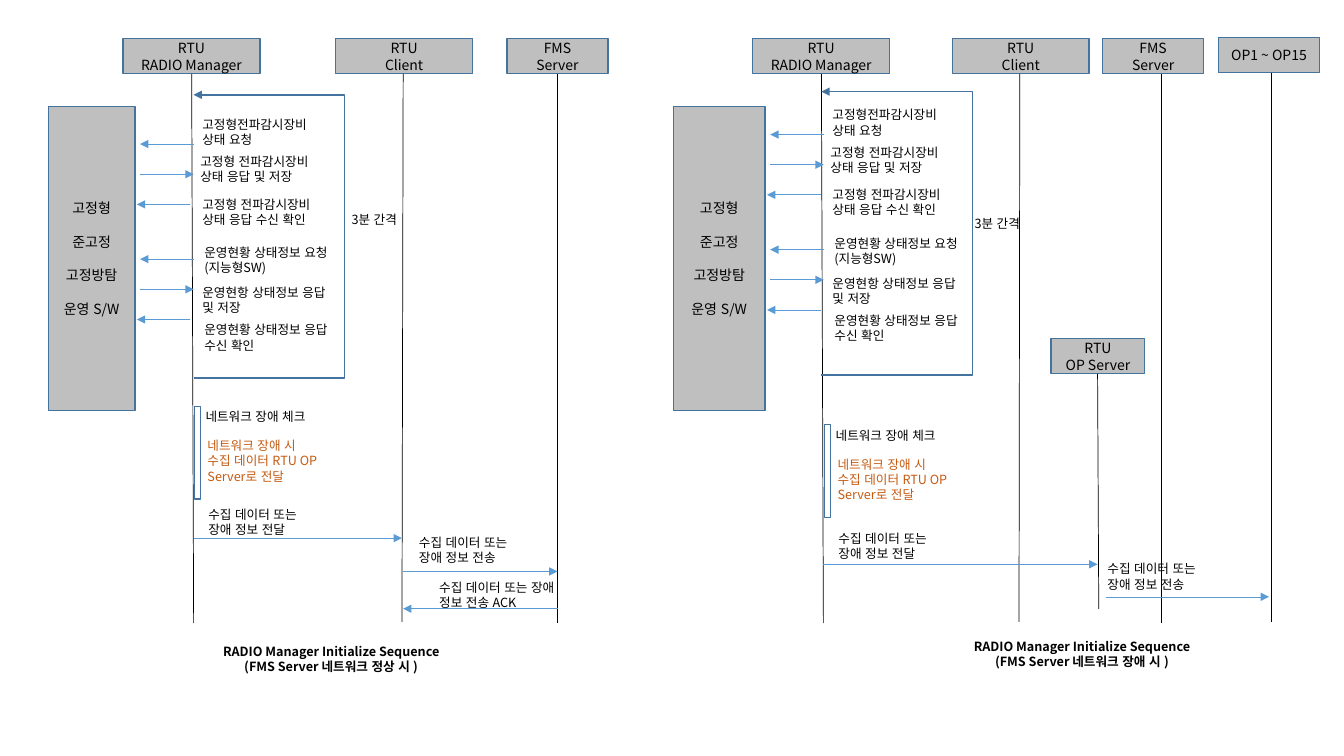
import pptx
import pptx.util
import pptx.dml.color
import pptx.enum.dml
import pptx.enum.lang
import pptx.enum.shapes
import pptx.enum.text
import pptx.oxml.ns
import lxml.etree

Cm, Pt = pptx.util.Cm, pptx.util.Pt
ALIGN = pptx.enum.text.PP_ALIGN
ANCHOR = pptx.enum.text.MSO_ANCHOR

FONT = "Noto Sans CJK KR"
COLORS = {"box": "BFBFBF", "edge": "43739E", "arrow": "5B9BD5",
          "text": "000000", "warning": "C55A11"}

# Content shared by both sequences
DEVICES = ["고정형", "준고정", "고정방탐", "운영 S/W"]
# lines, left, top
MESSAGES = [
    (["고정형전파감시장비 상태 요청"], 4.85, 2.82),
    (["고정형 전파감시장비", "상태 응답 및 저장"], 4.8, 3.76),
    (["고정형 전파감시장비", "상태 응답 수신 확인"], 4.85, 4.83),
    (["운영현황 상태정보 요청(지능형SW)"], 4.9, 6.05),
    (["운영현항 상태정보 응답 및 저장"], 4.85, 7.06),
    (["운영현황 상태정보 응답 수신 확인"], 4.9, 8.0),
]
# start x, end x of the request, response and confirmation arrows
EXCHANGE = [(4.88, 3.53), (3.53, 4.88), (4.8, 3.45)]
EXCHANGE_TOPS = [3.63, 6.53]
EXCHANGE_STEP = 0.76
CHECK = ["네트워크 장애 체크"]
WARNING = ["네트워크 장애 시", "수집 데이터 RTU OP Server로 전달"]
INTERVAL = ["3분 간격"]
DELIVER = ["수집 데이터 또는 장애 정보 전달"]
SEND = ["수집 데이터 또는 장애 정보 전송"]
ACK = ["수집 데이터 또는 장애 정보 전송 ACK"]

# participants: lines, left, top, width, lifeline x at top and bottom, lifeline end
# transfers: lines, left, top, width, arrow start x, arrow end x, arrow y
SEQUENCES = [
    {"dx": 0, "messages_dy": 0, "check_dy": 0, "device_width": 2.18,
     "loop": (4.88, 2.39), "interval": (8.61, 5.21),
     "participants": [
         (["RTU", "RADIO Manager"], 3.1, 0.97, 3.45, 4.83, 4.88, 15.7),
         (["RTU", "Client"], 8.46, 0.97, 3.45, 10.16, 10.13, 15.67),
         (["FMS", "Server"], 12.78, 0.97, 2.54, 14.05, 14.05, 15.7)],
     "transfers": [
         (DELIVER, 5.0, 12.65, 3.05, 4.88, 10.13, 13.56),
         (SEND, 10.31, 13.36, 3.05, 10.16, 14.05, 14.4),
         (ACK, 10.82, 14.48, 3.61, 14.05, 10.16, 15.34)],
     "caption": (["RADIO Manager Initialize Sequence",
                  "(FMS Server 네트워크 정상 시 )"], 4.98, 16.1)},
    {"dx": 15.88, "messages_dy": -0.24, "check_dy": 0.46, "device_width": 2.31,
     "loop": (20.7, 2.31), "interval": (24.31, 5.31),
     "participants": [
         (["RTU", "RADIO Manager"], 18.97, 0.97, 3.45, 20.7, 20.75, 15.7),
         (["RTU", "Client"], 24.0, 0.97, 3.45, 25.7, 25.68, 15.67),
         (["FMS", "Server"], 27.79, 0.97, 2.54, 29.26, 29.26, 15.7),
         (["OP1 ~ OP15"], 30.71, 0.94, 2.54, 32.05, 32.05, 15.67),
         (["RTU", "OP Server"], 26.49, 8.53, 2.36, 27.66, 27.69, 15.34)],
     "transfers": [
         (DELIVER, 20.88, 13.26, 3.05, 20.75, 27.66, 14.22),
         (SEND, 27.66, 14.02, 3.05, 27.86, 31.98, 15.04)],
     "caption": (["RADIO Manager Initialize Sequence",
                  "(FMS Server 네트워크 장애 시 )"], 23.9, 15.98)},
]
HEADER_HEIGHT = 0.89
DEVICE_TOP, DEVICE_HEIGHT = 2.69, 7.65
LOOP_WIDTH, LOOP_HEIGHT = 3.81, 7.14

prs = pptx.Presentation()
prs.slide_width, prs.slide_height = Cm(33.87), Cm(19.05)
s = prs.slides.add_slide(prs.slide_layouts[6])


def rgb(name):
    return pptx.dml.color.RGBColor.from_string(COLORS[name])


def write(tf, lines, size, color="text", align=ALIGN.LEFT, bold=False, gap=0):
    tf.word_wrap = True
    for i, line in enumerate(lines):
        p = tf.paragraphs[0] if i == 0 else tf.add_paragraph()
        p.alignment = align
        p.line_spacing = Pt(size * 1.2)
        p.space_before = Pt(gap if i else 0)
        r = p.add_run()
        r.text = line
        r.font.size, r.font.bold, r.font.name = Pt(size), bold, FONT
        r.font.color.rgb = rgb(color)
        r.font.language_id = pptx.enum.lang.MSO_LANGUAGE_ID.KOREAN
        ea = lxml.etree.SubElement(r.font._element, pptx.oxml.ns.qn("a:ea"))
        ea.set("typeface", FONT)


def add_label(lines, left, top, width, height=1.02, **style):
    sp = s.shapes.add_textbox(Cm(left), Cm(top), Cm(width), Cm(height))
    write(sp.text_frame, lines, 9, **style)


def add_box(left, top, width, height, lines=(), gap=0):
    sp = s.shapes.add_shape(pptx.enum.shapes.MSO_SHAPE.RECTANGLE,
                            Cm(left), Cm(top), Cm(width), Cm(height))
    sp.shadow.inherit = False
    sp.line.color.rgb, sp.line.width = rgb("edge"), Pt(1)
    if not lines:
        sp.fill.background()
        return
    sp.fill.solid()
    sp.fill.fore_color.rgb = rgb("box")
    tf = sp.text_frame
    tf.margin_top = tf.margin_bottom = 0
    tf.vertical_anchor = ANCHOR.MIDDLE
    write(tf, lines, 10, align=ALIGN.CENTER, gap=gap)


def add_arrowhead(line):
    ln = line._get_or_add_ln()
    lxml.etree.SubElement(ln, pptx.oxml.ns.qn("a:tailEnd")).set("type", "triangle")


def add_line(x1, y1, x2, y2, color, arrow=False):
    c = s.shapes.add_connector(pptx.enum.shapes.MSO_CONNECTOR.STRAIGHT,
                               Cm(x1), Cm(y1), Cm(x2), Cm(y2))
    c.line.color.rgb, c.line.width = rgb(color), Pt(0.5)
    if arrow:
        add_arrowhead(c.line)
    lxml.etree.SubElement(c._element.spPr, pptx.oxml.ns.qn("a:effectLst"))


def add_loop(left, top):
    right, bottom = left + LOOP_WIDTH, top + LOOP_HEIGHT
    fb = s.shapes.build_freeform(Cm(left), Cm(bottom))
    fb.add_line_segments([(Cm(right), Cm(bottom)), (Cm(right), Cm(top)),
                          (Cm(left), Cm(top))], close=False)
    sp = fb.convert_to_shape()
    sp.shadow.inherit = False
    sp.fill.background()
    sp.line.color.rgb, sp.line.width = rgb("edge"), Pt(1)
    add_arrowhead(sp.line)


for seq in SEQUENCES:
    dx, dy, check_dy = seq["dx"], seq["messages_dy"], seq["check_dy"]

    # Participants and lifelines
    for lines, left, top, width, x1, x2, end in seq["participants"]:
        add_box(left, top, width, HEADER_HEIGHT, lines)
        add_line(x1, top + HEADER_HEIGHT, x2, end, "text")

    # Devices and the polling loop
    add_box(1.22 + min(dx, 15.75), DEVICE_TOP, seq["device_width"],
            DEVICE_HEIGHT, DEVICES, gap=12)
    add_loop(*seq["loop"])
    add_label(INTERVAL, *seq["interval"], 3.43, 0.64)
    for top in EXCHANGE_TOPS:
        for i, (x1, x2) in enumerate(EXCHANGE):
            y = top + i * EXCHANGE_STEP + dy
            add_line(x1 + dx, y, x2 + dx, y, "arrow", arrow=True)
    for lines, left, top in MESSAGES:
        add_label(lines, left + dx, top + dy, 3.71)

    # Network check
    add_box(4.9 + dx, 10.24 + check_dy, 0.15, 2.34)
    add_label(CHECK, 4.93 + dx, 10.19 + check_dy, 3.43, 0.64)
    add_label(WARNING, 4.98 + dx, 10.92 + check_dy, 3.43, 1.42, color="warning")

    # Transfers
    for lines, left, top, width, x1, x2, y in seq["transfers"]:
        add_label(lines, left, top, width)
        add_line(x1, y, x2, y, "arrow", arrow=True)

    # Caption
    add_label(*seq["caption"], 6.73, align=ALIGN.CENTER, bold=True)

prs.save("out.pptx")
